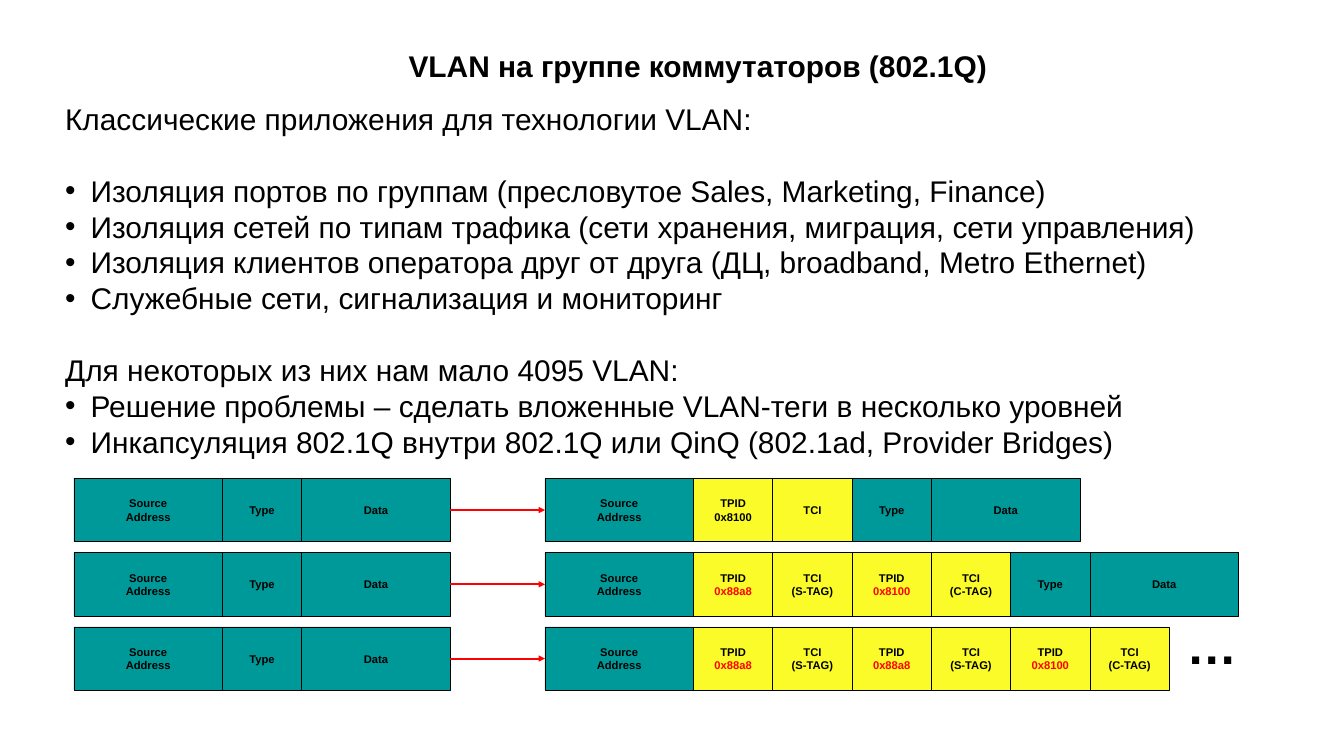
from dataclasses import dataclass

from lxml.etree import SubElement
from pptx import Presentation
from pptx.dml.color import RGBColor
from pptx.enum.shapes import MSO_CONNECTOR as Connector, MSO_SHAPE as Shape
from pptx.enum.text import MSO_ANCHOR as Anchor, MSO_AUTO_SIZE as AutoSize, PP_ALIGN as Align
from pptx.oxml.ns import qn
from pptx.util import Inches, Pt

FONT = "Arial"
BLACK, RED, TEAL, YELLOW = "000000", "FF0000", "009999", "FBFB29"
LINE_PITCH = Pt(38.4)
BULLET_INDENT = 0.38

# Frame diagram grid, in inches
WIDE, NARROW, CELL_HEIGHT = 2.21, 1.18, 0.94
PLAIN_LEFT, TAGGED_LEFT = 1.1, 8.11
FIRST_ROW_TOP, ROW_PITCH = 7.12, 1.105


@dataclass(frozen=True)
class Line:
    text: str
    bullet: bool = False
    gap_before: bool = False


@dataclass(frozen=True)
class Field:
    lines: tuple[str, ...]
    width: float = NARROW
    fill: str = TEAL
    second_color: str = BLACK


def tag(name: str, value: str = "", value_color: str = BLACK) -> Field:
    lines = (name, value) if value else (name,)
    return Field(lines, fill=YELLOW, second_color=value_color)


SOURCE = Field(("Source", "Address"), WIDE)
TYPE = Field(("Type",))
DATA = Field(("Data",), WIDE)
PLAIN_FRAME = (SOURCE, TYPE, DATA)
SERVICE_TAG = (tag("TPID", "0x88a8", RED), tag("TCI", "(S-TAG)"))
CUSTOMER_TAG = (tag("TPID", "0x8100", RED), tag("TCI", "(C-TAG)"))
TAGGED_FRAMES = (
    (SOURCE, tag("TPID", "0x8100"), tag("TCI"), TYPE, DATA),
    (SOURCE, *SERVICE_TAG, *CUSTOMER_TAG, TYPE, DATA),
    (SOURCE, *SERVICE_TAG, *SERVICE_TAG, *CUSTOMER_TAG),
)

BODY = (
    Line("Классические приложения для технологии VLAN:"),
    Line("Изоляция портов по группам (пресловутое Sales, Marketing, Finance)", True, True),
    Line("Изоляция сетей по типам трафика (сети хранения, миграция, сети управления)", True),
    Line("Изоляция клиентов оператора друг от друга (ДЦ, broadband, Metro Ethernet)", True),
    Line("Служебные сети, сигнализация и мониторинг", True),
    Line("Для некоторых из них нам мало 4095 VLAN:", gap_before=True),
    Line("Решение проблемы – сделать вложенные VLAN-теги в несколько уровней", True),
    Line("Инкапсуляция 802.1Q внутри 802.1Q или QinQ (802.1ad, Provider Bridges)", True),
)


def rgb(color: str) -> RGBColor:
    return RGBColor.from_string(color)


def set_font(paragraph, size: float, bold: bool = False, color: str = BLACK) -> None:
    font = paragraph.font
    font.name, font.size, font.bold = FONT, Pt(size), bold
    font.color.rgb = rgb(color)


def add_title(slide, text: str) -> None:
    title = slide.shapes.title
    title.left, title.top = Inches(5.98), Inches(0.66)
    title.width, title.height = Inches(8.84), Inches(0.64)
    frame = title.text_frame
    frame.text = text
    frame.word_wrap = False
    frame.auto_size = AutoSize.SHAPE_TO_FIT_TEXT
    frame.vertical_anchor = Anchor.TOP
    paragraph = frame.paragraphs[0]
    paragraph.alignment = Align.LEFT
    paragraph.line_spacing = LINE_PITCH
    set_font(paragraph, 32, bold=True)


def add_body(slide, lines: tuple[Line, ...]) -> None:
    box = slide.shapes.add_textbox(Inches(0.87), Inches(1.45), Inches(18.27), Inches(5.44))
    frame = box.text_frame
    frame.word_wrap = True
    for index, line in enumerate(lines):
        paragraph = frame.add_paragraph() if index else frame.paragraphs[0]
        paragraph.text = line.text
        paragraph.line_spacing = LINE_PITCH
        if line.gap_before:
            paragraph.space_before = LINE_PITCH
        properties = paragraph._p.get_or_add_pPr()
        properties.set("marL", str(Inches(BULLET_INDENT)))
        properties.set("indent", str(-Inches(BULLET_INDENT)))
        if line.bullet:
            SubElement(properties, qn("a:buFont"), typeface=FONT)
            SubElement(properties, qn("a:buChar"), char="•")
        set_font(paragraph, 32)


def add_field(slide, field: Field, left: float, top: float) -> None:
    cell = slide.shapes.add_shape(Shape.RECTANGLE, Inches(left), Inches(top),
                                  Inches(field.width), Inches(CELL_HEIGHT))
    cell.shadow.inherit = False
    cell.fill.solid()
    cell.fill.fore_color.rgb = rgb(field.fill)
    cell.line.color.rgb = rgb(BLACK)
    cell.line.width = Pt(0.75)
    frame = cell.text_frame
    frame.word_wrap = False
    frame.vertical_anchor = Anchor.MIDDLE
    for index, text in enumerate(field.lines):
        paragraph = frame.add_paragraph() if index else frame.paragraphs[0]
        paragraph.text = text
        paragraph.alignment = Align.CENTER
        set_font(paragraph, 12, True, field.second_color if index else BLACK)


def add_frame(slide, fields: tuple[Field, ...], left: float, top: float) -> float:
    """Draw the fields side by side and return the right edge."""
    for field in fields:
        add_field(slide, field, left, top)
        left += field.width
    return left


def add_arrow(slide, start: float, end: float, y: float) -> None:
    arrow = slide.shapes.add_connector(Connector.STRAIGHT, Inches(start), Inches(y),
                                       Inches(end), Inches(y))
    arrow.line.color.rgb = rgb(RED)
    arrow.line.width = Pt(2.25)
    SubElement(arrow.line._get_or_add_ln(), qn("a:tailEnd"), type="triangle")
    SubElement(arrow._element.spPr, qn("a:effectLst"))


def add_ellipsis(slide) -> None:
    box = slide.shapes.add_textbox(Inches(17.56), Inches(9.09), Inches(0.95), Inches(1))
    box.text_frame.word_wrap = False
    paragraph = box.text_frame.paragraphs[0]
    paragraph.text = "…"
    set_font(paragraph, 54, bold=True)


def main() -> None:
    presentation = Presentation()
    presentation.slide_width, presentation.slide_height = Inches(20), Inches(11.25)
    slide = presentation.slides.add_slide(presentation.slide_layouts[5])

    # Title and text
    add_title(slide, "VLAN на группе коммутаторов (802.1Q)")
    add_body(slide, BODY)

    # Plain frame on the left, tagged frame on the right
    for row, tagged_frame in enumerate(TAGGED_FRAMES):
        top = FIRST_ROW_TOP + row * ROW_PITCH
        plain_right = add_frame(slide, PLAIN_FRAME, PLAIN_LEFT, top)
        add_frame(slide, tagged_frame, TAGGED_LEFT, top)
        add_arrow(slide, plain_right, TAGGED_LEFT, top + CELL_HEIGHT / 2)
    add_ellipsis(slide)

    presentation.save("out.pptx")


if __name__ == "__main__":
    main()
